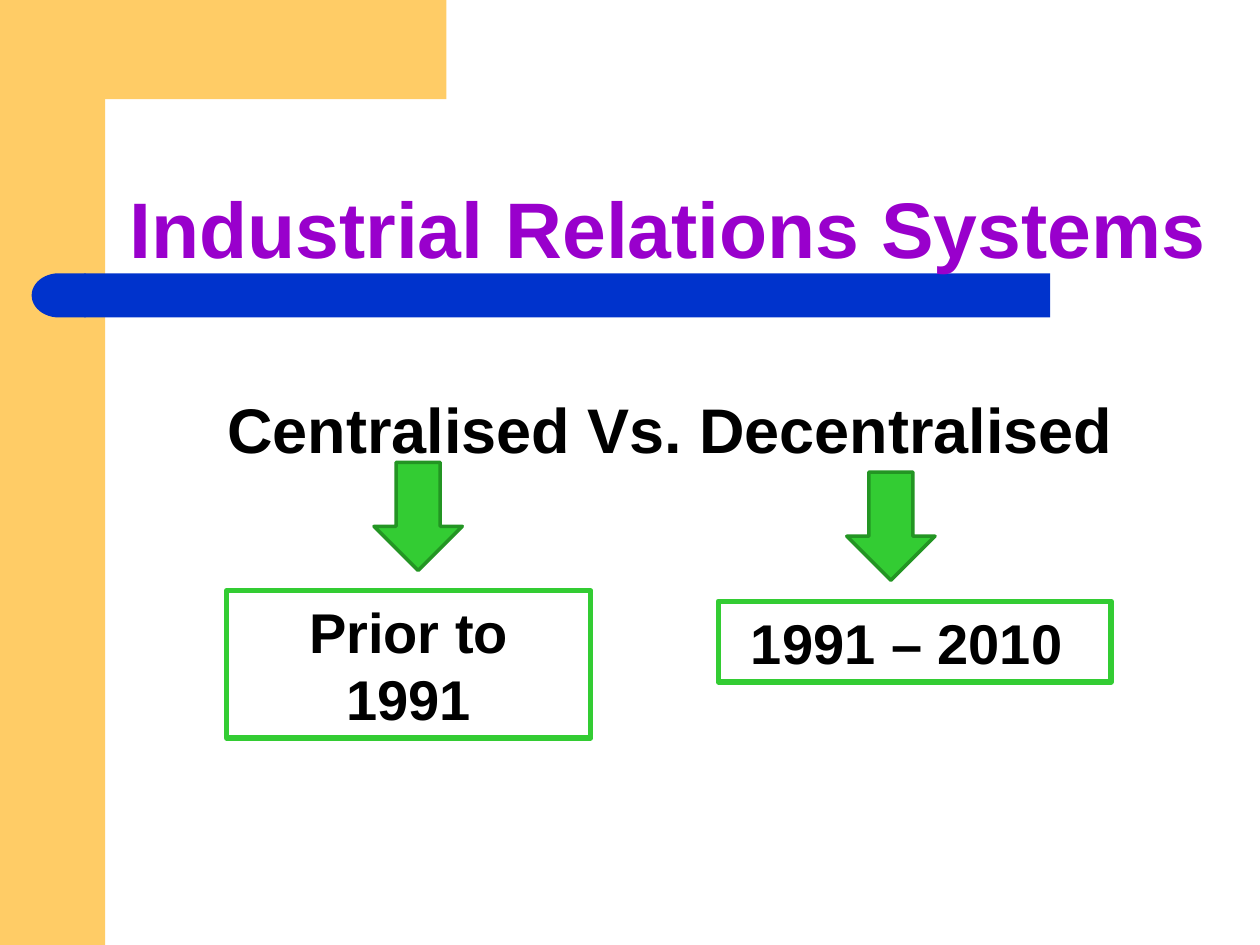
import math
import pptx
import pptx.dml.color
import pptx.enum.shapes
import pptx.enum.text
import pptx.util

Cm, Pt = pptx.util.Cm, pptx.util.Pt
SHAPE = pptx.enum.shapes.MSO_SHAPE
ALIGN = pptx.enum.text.PP_ALIGN
ANCHOR = pptx.enum.text.MSO_ANCHOR

COLORS = {"sand": "FFCC66", "blue": "0033CC", "purple": "9900CC",
          "green": "33CC33", "dark_green": "239523", "black": "000000"}


def rgb(name):
    return pptx.dml.color.RGBColor.from_string(COLORS[name])


class SlideBuilder:
    font = {"name": "Arial", "bold": True}

    def __init__(self, slide):
        self.slide = slide

    def paint(self, sp, fill=None, line=None, width=0):
        sp.shadow.inherit = False
        if fill:
            sp.fill.solid()
            sp.fill.fore_color.rgb = rgb(fill)
        else:
            sp.fill.background()
        if line:
            sp.line.color.rgb = rgb(line)
            sp.line.width = Pt(width)
        else:
            sp.line.fill.background()
        return sp

    def shape(self, kind, box, adjustments=(), **style):
        sp = self.slide.shapes.add_shape(kind, *map(Cm, box))
        for i, value in enumerate(adjustments):
            sp.adjustments[i] = value
        return self.paint(sp, **style)

    def outline(self, points, **style):
        fb = self.slide.shapes.build_freeform(*points[0], scale=Cm(1))
        fb.add_line_segments(points[1:], close=True)
        return self.paint(fb.convert_to_shape(), **style)

    def set_text(self, sp, text, size, color="black", align=ALIGN.CENTER,
                 anchor=ANCHOR.MIDDLE, spacing=1.0):
        tf = sp.text_frame
        frame = {"word_wrap": True, "vertical_anchor": anchor}
        for key, value in frame.items():
            setattr(tf, key, value)
        p = tf.paragraphs[0]
        p.alignment, p.line_spacing = align, spacing
        r = p.add_run()
        r.text = text
        for key, value in {**self.font, "size": Pt(size)}.items():
            setattr(r.font, key, value)
        r.font.color.rgb = rgb(color)

    def text(self, box, text, size, **style):
        sp = self.slide.shapes.add_textbox(*map(Cm, box))
        self.set_text(sp, text, size, **style)

    def framed_text(self, box, text, size):
        sp = self.shape(SHAPE.RECTANGLE, box, line="green", width=3)
        self.set_text(sp, text, size)


def main():
    prs = pptx.Presentation()
    prs.slide_width, prs.slide_height = Cm(25.4), Cm(19.05)
    s = SlideBuilder(prs.slides.add_slide(prs.slide_layouts[6]))

    # Sand side band and top block with a rounded inner corner
    s.shape(SHAPE.RECTANGLE, (0, 0, 2.12, 19.05), fill="sand")
    band, radius = 2.12, 0.83
    center = band + radius
    angles = [math.radians(a) for a in range(90, 181, 5)]
    corner = [(center + radius * math.cos(a), center - radius * math.sin(a))
              for a in angles]
    s.outline([(1.27, 0), (8.89, 0), (8.89, band), *corner,
               (band, 3.25), (1.27, 3.25)], fill="sand")

    # Blue bar with a round left end
    s.shape(SHAPE.ROUNDED_RECTANGLE, (1.7, 5.51, 19.47, 0.89), [0], fill="blue")
    cap = s.shape(SHAPE.FLOWCHART_DELAY, (0.64, 5.51, 1.09, 0.89), fill="blue")
    cap._element.spPr.get_or_add_xfrm().set("flipH", "1")

    # Title and heading
    s.text((2.36, 2.36, 22.81, 3.33), "Industrial Relations Systems", 45,
           color="purple", align=ALIGN.LEFT, anchor=ANCHOR.BOTTOM, spacing=0.9)
    s.text((1.98, 6.55, 23.06, 2.97), "Centralised Vs. Decentralised", 36,
           anchor=ANCHOR.BOTTOM)

    # Period boxes, each with its arrow
    periods = [("Prior to 1991", (4.57, 11.91, 7.34, 2.97), (7.54, 9.32)),
               ("1991 – 2010 ", (14.48, 12.12, 7.92, 1.63), (17.07, 9.52))]
    for text, box, arrow in periods:
        s.framed_text(box, text, 32)
        s.shape(SHAPE.DOWN_ARROW, (*arrow, 1.78, 2.18), [0.5, 0.5],
                fill="green", line="dark_green", width=2)

    prs.save("out.pptx")


if __name__ == "__main__":
    main()
